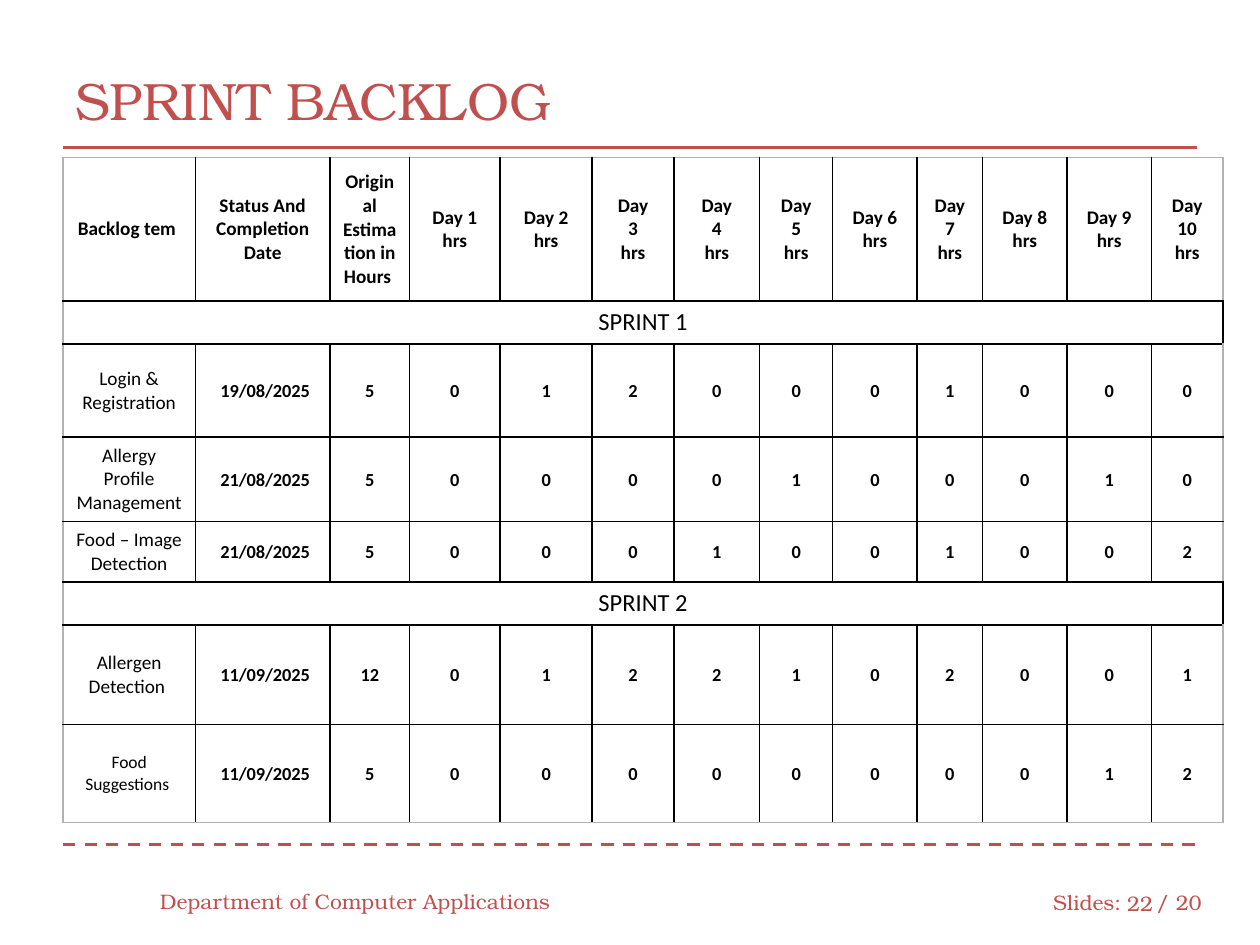
from dataclasses import dataclass

from lxml.etree import SubElement
from pptx import Presentation
from pptx.dml.color import RGBColor
from pptx.enum.dml import MSO_LINE
from pptx.enum.shapes import MSO_CONNECTOR
from pptx.enum.text import MSO_ANCHOR, PP_ALIGN
from pptx.oxml.ns import qn
from pptx.util import Inches, Pt


@dataclass(frozen=True)
class Theme:
    accent: str = "C0504D"
    ink: str = "000000"
    outer_border: str = "B2B2B2"
    display_font: str = "TeX Gyre Bonum"
    table_font: str = "Calibri"
    title_size: float = 30
    footer_size: float = 12
    sprint_size: float = 14
    label_size: float = 11
    small_label_size: float = 10
    value_size: float = 10.5
    rule_width: float = 1.75
    border_width: float = 1


THEME = Theme()

# Cell margins: left, right, top, bottom
PADDED = (0.1, 0.1, 0.1, 0.1)
STANDARD = (0.1, 0.1, 0.05, 0.05)
VALUE = (0.08, 0.08, 0, 0)
DATE = (0.12, 0.08, 0, 0)

COLUMN_WIDTHS = [1.05, 1.07, 0.63, 0.72, 0.73, 0.65, 0.68,
                 0.58, 0.67, 0.52, 0.67, 0.67, 0.57]
ROW_HEIGHTS = [1.14, 0.34, 0.74, 0.67, 0.48, 0.34, 0.79, 0.78]
SPLIT_DAYS = (3, 4, 5)
HEADERS = ["Backlog tem ", "Status And Completion Date", "Original Estimation in Hours "] + [
    f"Day\n{day}\nhrs" if day in SPLIT_DAYS else f"Day {day}\nhrs" for day in range(1, 11)
]

# Item, completion date, estimated hours, hours for days 1 to 10
SPRINTS = {
    "SPRINT 1": [
        ("Login & Registration", "19/08/2025", 5, (0, 1, 2, 0, 0, 0, 1, 0, 0, 0)),
        ("Allergy Profile Management", "21/08/2025", 5, (0, 0, 0, 0, 1, 0, 0, 0, 1, 0)),
        ("Food – Image Detection", "21/08/2025", 5, (0, 0, 0, 1, 0, 0, 1, 0, 0, 2)),
    ],
    "SPRINT 2": [
        ("Allergen Detection ", "11/09/2025", 12, (0, 1, 2, 2, 1, 0, 2, 0, 0, 1)),
        ("Food Suggestions ", "11/09/2025", 5, (0, 0, 0, 0, 0, 0, 0, 0, 1, 2)),
    ],
}
SMALL_LABELS = ("Food Suggestions ",)


def apply(target, values):
    for name, value in values.items():
        setattr(target, name, value)


def write(frame, text, font, color, align=PP_ALIGN.LEFT, spacing=None):
    """Fill a text frame with one paragraph for each line of text."""
    for index, line in enumerate(text.split("\n")):
        paragraph = frame.paragraphs[0] if index == 0 else frame.add_paragraph()
        apply(paragraph, {"alignment": align, **(spacing or {})})
        run = paragraph.add_run()
        run.text = line
        apply(run.font, font)
        run.font.color.rgb = RGBColor.from_string(color)


def add_label(slide, box, text, size, align=PP_ALIGN.LEFT):
    frame = slide.shapes.add_textbox(*map(Inches, box)).text_frame
    apply(frame, {"word_wrap": True, "vertical_anchor": MSO_ANCHOR.MIDDLE})
    write(frame, text, {"name": THEME.display_font, "size": Pt(size)}, THEME.accent, align)


def add_rule(slide, left, top, width, dash=None):
    rule = slide.shapes.add_connector(
        MSO_CONNECTOR.STRAIGHT, *map(Inches, (left, top, left + width, top)))
    rule.line.color.rgb = RGBColor.from_string(THEME.accent)
    apply(rule.line, {"width": Pt(THEME.rule_width), "dash_style": dash})
    SubElement(rule._element.spPr, qn("a:effectLst"))


def add_header(slide, left, top, width, height):
    add_label(slide, (left, top, width, height), "SPRINT BACKLOG", THEME.title_size)
    add_rule(slide, left, 1.17, width)


def add_footer(slide, left, top, width):
    add_rule(slide, left, top, width, MSO_LINE.DASH)
    label_top, height = top + 0.26, 0.4
    size = THEME.footer_size
    add_label(slide, (left + 0.67, label_top - 0.01, 3.4, height),
              "Department of Computer Applications", size)
    add_label(slide, (left + 7.76, label_top, 0.75, height), "Slides:", size)
    add_label(slide, (left + 8.33, label_top + 0.01, 0.42, height), "22", size, PP_ALIGN.RIGHT)
    add_label(slide, (left + 8.58, label_top, 0.58, height), "/ 20", size)


def set_borders(cell, colors):
    """Draw the sides of a cell; colors maps lnL, lnR, lnT and lnB to a colour."""
    properties = cell._tc.get_or_add_tcPr()
    for position, (side, color) in enumerate(colors.items()):
        line = properties.makeelement(qn(f"a:{side}"), {"w": str(Pt(THEME.border_width))})
        fill = SubElement(line, qn("a:solidFill"))
        SubElement(fill, qn("a:srgbClr"), val=color)
        properties.insert(position, line)


def fill_cell(cell, text, size, margins, bold=False, spacing=None):
    names = ("margin_left", "margin_right", "margin_top", "margin_bottom")
    apply(cell, dict(zip(names, map(Inches, margins))))
    cell.vertical_anchor = MSO_ANCHOR.MIDDLE
    font = {"name": THEME.table_font, "size": Pt(size), "bold": bold}
    write(cell.text_frame, text, font, THEME.ink, PP_ALIGN.CENTER, spacing)


def fill_item_row(cells, item, date, estimate, hours, label_margins):
    size = THEME.small_label_size if item in SMALL_LABELS else THEME.label_size
    fill_cell(cells[0], item, size, label_margins)
    spacing = {"line_spacing": 1.07, "space_after": Pt(8)}
    for cell, value in zip(cells[1:], (date, estimate, *hours)):
        margins = DATE if value == date else VALUE
        fill_cell(cell, str(value), THEME.value_size, margins, True, spacing)


def add_backlog_table(slide, left, top):
    row_count, column_count = len(ROW_HEIGHTS), len(COLUMN_WIDTHS)
    box = map(Inches, (left, top, sum(COLUMN_WIDTHS), sum(ROW_HEIGHTS)))
    table = slide.shapes.add_table(row_count, column_count, *box).table
    apply(table, {"first_row": False, "horz_banding": False})
    for column, width in zip(table.columns, COLUMN_WIDTHS):
        column.width = Inches(width)

    for r, height in enumerate(ROW_HEIGHTS):
        table.rows[r].height = Inches(height)
        for c in range(column_count):
            cell = table.cell(r, c)
            cell.fill.background()
            outer = {"lnL": c == 0, "lnR": c == column_count - 1,
                     "lnT": r == 0, "lnB": r == row_count - 1}
            set_borders(cell, {side: THEME.outer_border if edge else THEME.ink
                               for side, edge in outer.items()})

    for cell, text in zip(table.rows[0].cells, HEADERS):
        fill_cell(cell, text, THEME.label_size, PADDED, bold=True)
    r = 1
    for sprint, items in SPRINTS.items():
        table.cell(r, 0).merge(table.cell(r, column_count - 1))
        fill_cell(table.cell(r, 0), sprint, THEME.sprint_size, STANDARD)
        for r, item in enumerate(items, r + 1):
            cells = [table.cell(r, c) for c in range(column_count)]
            fill_item_row(cells, *item, PADDED if r == 2 else STANDARD)
        r += 1


def main():
    presentation = Presentation()
    apply(presentation, {"slide_width": Inches(10), "slide_height": Inches(7.5)})
    slide = presentation.slides.add_slide(presentation.slide_layouts[6])
    add_header(slide, 0.5, 0.33, 9, 0.92)
    add_backlog_table(slide, 0.5, 1.25)
    add_footer(slide, 0.5, 6.7, 9)
    presentation.save("out.pptx")


if __name__ == "__main__":
    main()
